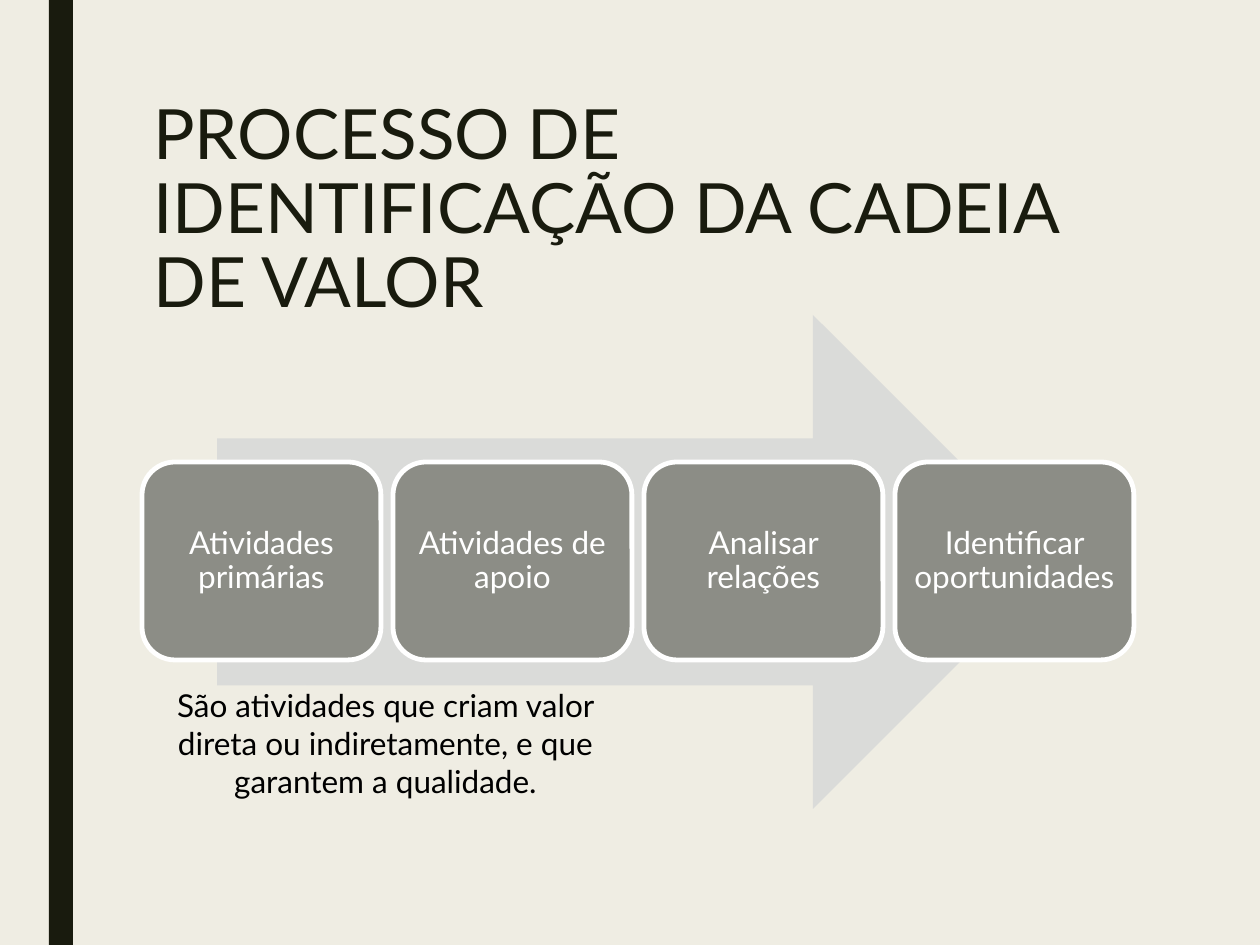
"""Build the value chain identification slide."""
from pptx import Presentation
from pptx.dml.color import RGBColor
from pptx.enum.shapes import MSO_SHAPE
from pptx.enum.text import MSO_ANCHOR, PP_ALIGN
from pptx.util import Emu, Pt

PX = 7257.6
FONT = "Lato"
COLORS = {"bg": "EFEDE3", "dark": "191B0E", "arrow": "DADBD9",
          "step": "8C8D86", "white": "FFFFFF", "black": "000000"}

TITLE = "PROCESSO DE IDENTIFICAÇÃO DA CADEIA DE VALOR"
STEPS = ["Atividades primárias", "Atividades de apoio",
         "Analisar relações", "Identificar oportunidades"]
NOTE = "São atividades que criam valor direta ou indiretamente, e que garantem a qualidade."

BAR_BOX = (49, 0, 24, 945)
TITLE_BOX = (141, 94, 993, 204)
ARROW_BOX = (217, 315, 843, 494)
NOTE_BOX = (141, 680, 489, 127)
STEP_LEFT, STEP_TOP, STEP_W, STEP_H, STEP_GAP = 142, 462, 239, 198, 12
STEP_INSET = 9


def px(n):
    return Emu(round(n * PX))


def rgb(name):
    return RGBColor.from_string(COLORS[name])


def add_shape(s, kind, box, fill, line=None):
    sp = s.shapes.add_shape(kind, *map(px, box))
    sp.shadow.inherit = False
    sp.fill.solid()
    sp.fill.fore_color.rgb = rgb(fill)
    if line:
        sp.line.color.rgb = rgb(line)
        sp.line.width = Pt(2.75)
    else:
        sp.line.fill.background()
    return sp


def set_text(sp, text, size, color, frame=None, para=None):
    tf = sp.text_frame
    p = tf.paragraphs[0]
    r = p.add_run()
    r.text = text
    r.font.color.rgb = rgb(color)
    formats = [(tf, {"word_wrap": True, **(frame or {})}),
               (p, para or {}),
               (r.font, {"name": FONT, "size": Pt(size)})]
    for target, values in formats:
        for key, value in values.items():
            setattr(target, key, value)


def main():
    prs = Presentation()
    prs.slide_width, prs.slide_height = px(1260), px(945)
    s = prs.slides.add_slide(prs.slide_layouts[6])
    s.background.fill.solid()
    s.background.fill.fore_color.rgb = rgb("bg")

    add_shape(s, MSO_SHAPE.RECTANGLE, BAR_BOX, "dark")
    title = s.shapes.add_textbox(*map(px, TITLE_BOX))
    set_text(title, TITLE, 39.6, "dark",
             {"vertical_anchor": MSO_ANCHOR.TOP}, {"line_spacing": 0.89})

    add_shape(s, MSO_SHAPE.RIGHT_ARROW, ARROW_BOX, "arrow")
    sides = ("left", "top", "right", "bottom")
    frame = {f"margin_{side}": px(STEP_INSET) for side in sides}
    frame["vertical_anchor"] = MSO_ANCHOR.MIDDLE
    para = {"alignment": PP_ALIGN.CENTER, "line_spacing": 0.9}
    for i, step in enumerate(STEPS):
        box = (STEP_LEFT + i * (STEP_W + STEP_GAP), STEP_TOP, STEP_W, STEP_H)
        sp = add_shape(s, MSO_SHAPE.ROUNDED_RECTANGLE, box, "step", "white")
        set_text(sp, step, 18, "white", frame, para)

    note = s.shapes.add_textbox(*map(px, NOTE_BOX))
    set_text(note, NOTE, 18, "black", para={"alignment": PP_ALIGN.CENTER})
    prs.save("out.pptx")


if __name__ == "__main__":
    main()
